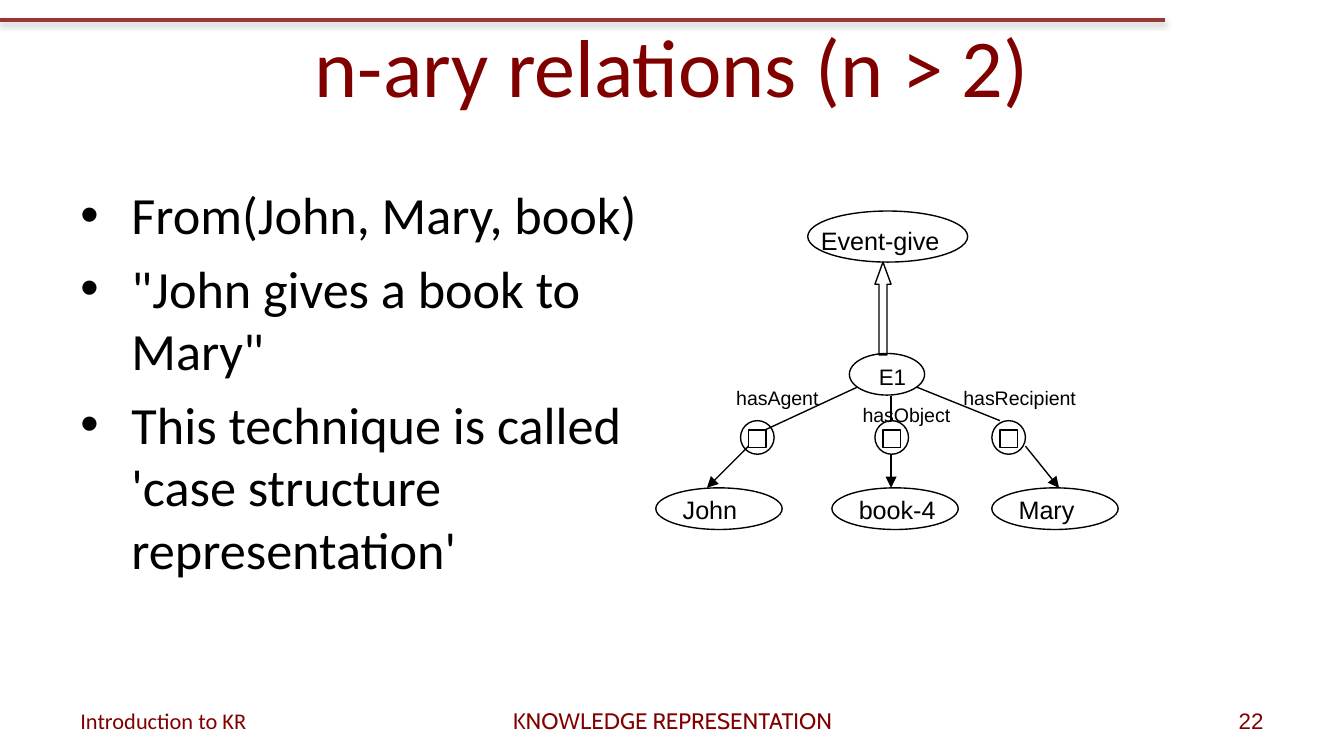
"""Build the slide on n-ary relations with its event diagram."""
from lxml import etree
from pptx import Presentation
from pptx.dml.color import RGBColor
from pptx.enum.shapes import MSO_CONNECTOR, MSO_SHAPE as SHAPE
from pptx.enum.text import MSO_ANCHOR as ANCHOR, MSO_AUTO_SIZE, PP_ALIGN as ALIGN
from pptx.oxml import parse_xml
from pptx.oxml.ns import nsdecls, qn
from pptx.util import Pt

PX = 9144
MAROON = RGBColor(0x80, 0x00, 0x00)
RULE_RED = RGBColor(0x95, 0x37, 0x35)
BLACK = RGBColor(0x00, 0x00, 0x00)

prs = Presentation()
prs.slide_width = 1000 * PX
prs.slide_height = prs.slide_width * 9 // 16
slide = prs.slides.add_slide(prs.slide_layouts[5])
shapes = slide.shapes


def add_text(text, left, top, width, height, size, font="Arial", color=BLACK,
             align=ALIGN.LEFT, anchor=ANCHOR.TOP, wrap=True):
    box = shapes.add_textbox(left * PX, top * PX, width * PX, height * PX)
    frame = box.text_frame
    frame.text = text
    frame.word_wrap = wrap
    frame.vertical_anchor = anchor
    for paragraph in frame.paragraphs:
        paragraph.alignment = align
        for run in paragraph.runs:
            run.font.size, run.font.name = Pt(size), font
            run.font.color.rgb = color
    return frame


def add_line(x1, y1, x2, y2, color=BLACK, width=0.75):
    line = shapes.add_connector(MSO_CONNECTOR.STRAIGHT, x1 * PX, y1 * PX, x2 * PX, y2 * PX)
    line.line.color.rgb = color
    line.line.width = Pt(width)
    effects = etree.SubElement(line._element.spPr, qn("a:effectLst"))
    return line, effects


top_rule, rule_effects = add_line(0, 15, 867, 15, RULE_RED, 2)
rule_effects.append(parse_xml(
    f'<a:outerShdw {nsdecls("a")} blurRad="39370" dist="20320" dir="5400000" rotWithShape="0">'
    '<a:srgbClr val="808080"><a:alpha val="38000"/></a:srgbClr></a:outerShdw>'))

title = shapes.title
title.left, title.top, title.width, title.height = 50 * PX, 1 * PX, 900 * PX, 94 * PX
title.text_frame.text = "n-ary relations (n > 2)"
title.text_frame.auto_size = MSO_AUTO_SIZE.NONE
title.text_frame.vertical_anchor = ANCHOR.MIDDLE
heading = title.text_frame.paragraphs[0]
heading.alignment = ALIGN.CENTER
heading_font = heading.runs[0].font
heading_font.size, heading_font.name = Pt(44), "Calibri"
heading_font.color.rgb = MAROON

points = ["From(John, Mary, book)", '"John gives a book to Mary"',
          "This technique is called 'case structure representation'"]
body = add_text("\n".join(points), 50, 131, 442, 371, 28, "Calibri")
for index, point in enumerate(body.paragraphs):
    point.space_before = Pt(5.6 if index else 0)
    props = point._p.get_or_add_pPr()
    props.set("marL", str(38 * PX))
    props.set("indent", str(-38 * PX))
    etree.SubElement(props, qn("a:buFont"), typeface="Arial")
    etree.SubElement(props, qn("a:buChar"), char="•")

for text, left, width, font, align in [
        ("Introduction to KR", 50, 233, "Calibri", ALIGN.LEFT),
        ("KNOWLEDGE REPRESENTATION", 342, 317, "Cabin", ALIGN.CENTER),
        ("22", 717, 233, "Arial", ALIGN.RIGHT)]:
    add_text(text, left, 521, width, 30, 12, font, MAROON, align, ANCHOR.MIDDLE)

entities = [("John", 488, 72), ("book-4", 619, 89), ("Mary", 738, 73)]
role_lefts = [551, 651, 738]
outlines = [(SHAPE.OVAL, 601, 157, 119, 38), (SHAPE.OVAL, 632, 263, 56, 31),
            (SHAPE.UP_ARROW, 651, 195, 12, 69)]
outlines += [(SHAPE.OVAL, left, 363, 94, 31) for _, left, _ in entities]
for left in role_lefts:
    outlines += [(SHAPE.RECTANGLE, left + 6, 320, 13, 13), (SHAPE.OVAL, left, 313, 25, 25)]

for kind, left, top, width, height in outlines:
    outline = shapes.add_shape(kind, left * PX, top * PX, width * PX, height * PX)
    outline.shadow.inherit = False
    outline.fill.background()
    outline.line.color.rgb = BLACK
    outline.line.width = Pt(0.75)
    if kind == SHAPE.UP_ARROW:
        outline.adjustments[0], outline.adjustments[1] = 0.5, 1.375

for role_link in [(638, 288, 569, 320), (663, 295, 663, 313), (682, 288, 744, 313)]:
    add_line(*role_link)
for filler_link in [(557, 332, 526, 363), (663, 338, 663, 363), (763, 332, 788, 363)]:
    arrow, _ = add_line(*filler_link)
    etree.SubElement(arrow.line._get_or_add_ln(), qn("a:tailEnd"), type="triangle")

add_text("Event-give", 601, 163, 119, 33, 13.5)
add_text("E1", 644, 265, 41, 30, 12, wrap=False)
for name, left, width in entities:
    label = add_text(name, left, 363, width, 33, 13.5, wrap=False)
    label.margin_left = 20 * PX
for role, left, top, width in [("hasAgent", 538, 282, 83), ("hasObject", 632, 295, 87),
                               ("hasRecipient", 707, 282, 106)]:
    add_text(role, left, top, width, 28, 10.5, wrap=False)

prs.save("out.pptx")
